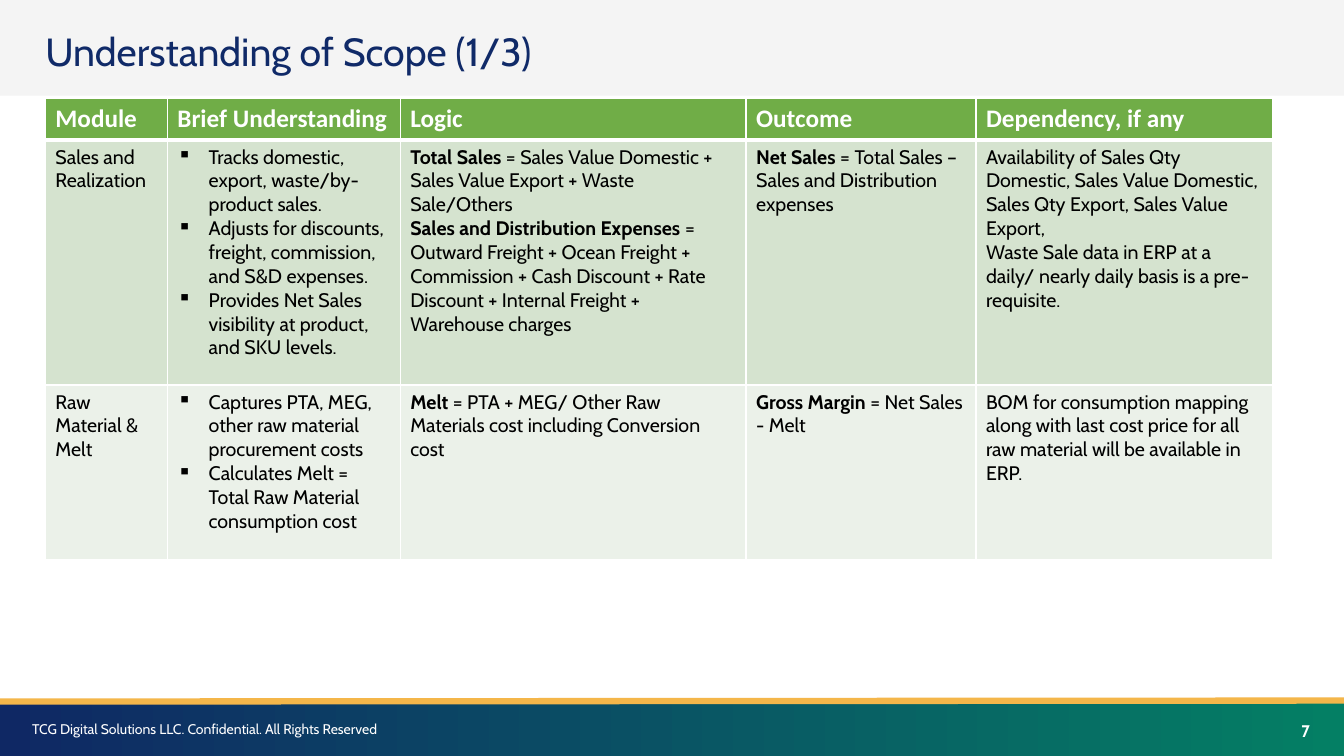
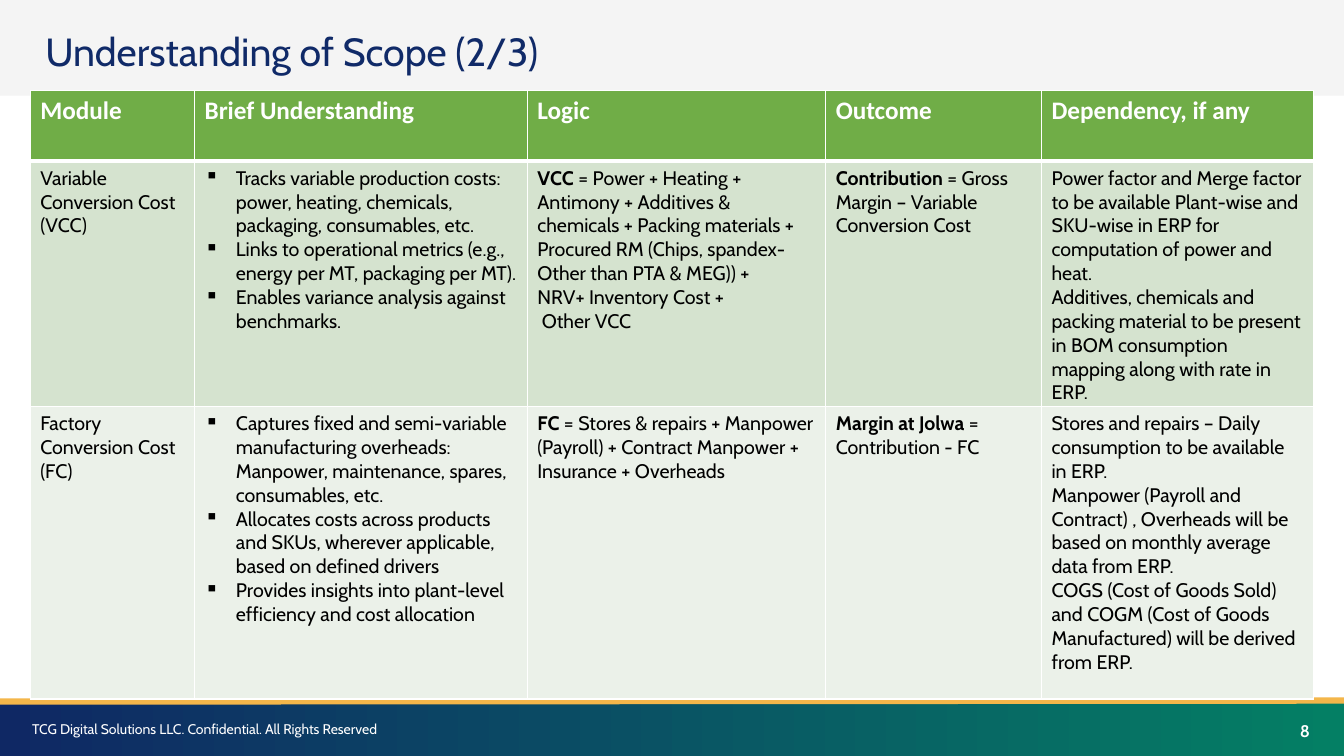
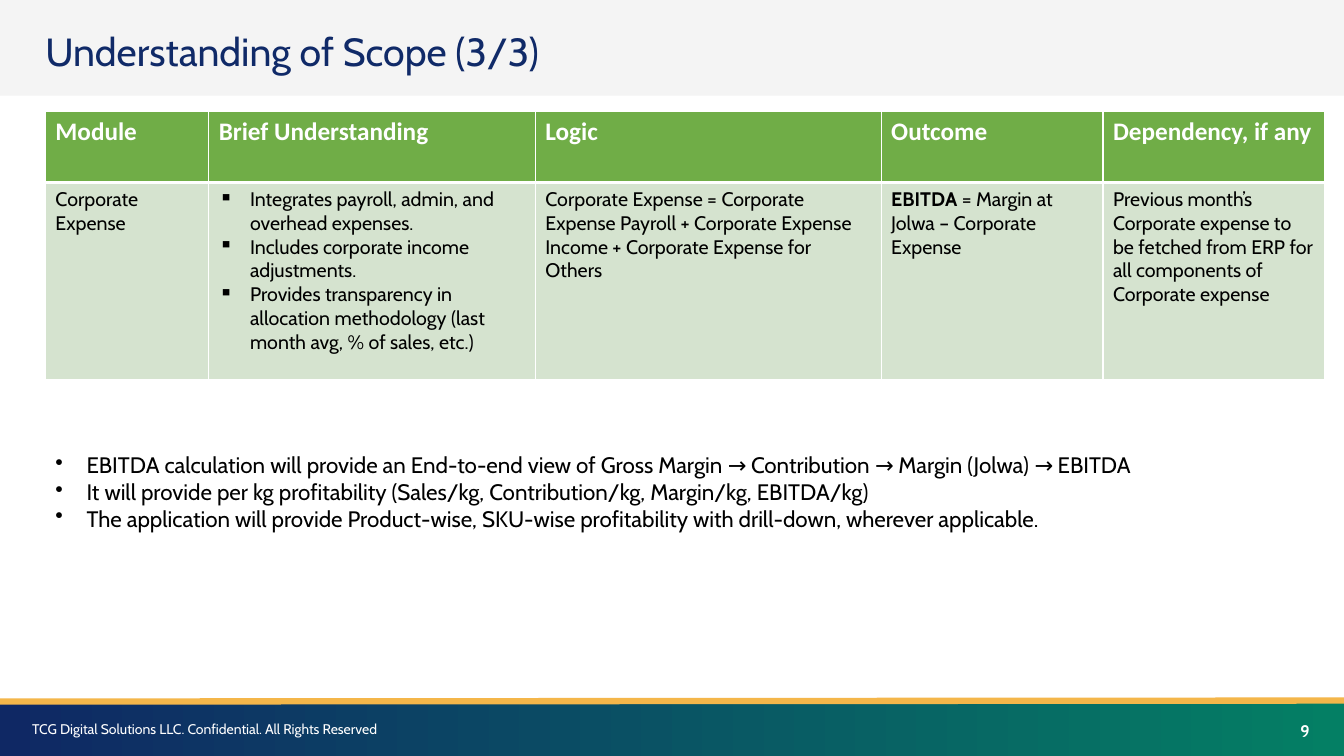
import dataclasses

import pptx
import pptx.dml.color
import pptx.enum.shapes
import pptx.enum.text
import pptx.oxml.ns
import pptx.util
from lxml import etree

Inches = pptx.util.Inches
Pt = pptx.util.Pt
RIGHT = pptx.enum.text.PP_ALIGN.RIGHT

COLORS = {
    "navy": "0F2864", "teal": "047F64", "gold": "F4B64A", "band": "F4F4F4",
    "title": "102A68", "header": "70AD47", "odd": "D5E3CF", "even": "EBF1E9",
    "black": "000000", "white": "FFFFFF",
}
BODY_FONT, HEADER_FONT = "Cabin", "Calibri"
INDENT = 0.31
FIRST_PAGE = 7
HEADINGS = ["Module", "Brief Understanding", "Logic", "Outcome", "Dependency, if any"]
BULLET_COLUMN = 1


@dataclasses.dataclass
class Box:
    left: float
    top: float
    width: float
    height: float

    def inset(self, left, top, width, height):
        """Return a box measured from this box's corner."""
        return Box(self.left + left, self.top + top, width, height)

    def lengths(self):
        return [Inches(v) for v in (self.left, self.top, self.width, self.height)]


SLIDE = Box(0, 0, 13.33, 7.5)
TITLE_BAND = Box(0, 0, SLIDE.width, 0.95)
FOOTER = Box(0, 6.95, SLIDE.width, 0.55)


def rgb(name):
    return pptx.dml.color.RGBColor.from_string(COLORS[name])


def add_xml(parent, tag, **attributes):
    return etree.SubElement(parent, pptx.oxml.ns.qn(tag), attributes)


def write_text(frame, lines, size=14, font=BODY_FONT, color="black", bold=False,
               align=None, bullet=None):
    """Write one paragraph per line; words before a bar are bold."""
    frame.word_wrap = True
    for index, line in enumerate(lines):
        para = frame.paragraphs[0] if index == 0 else frame.add_paragraph()
        para.alignment = align
        if bullet:
            properties = para._p.get_or_add_pPr()
            properties.set("marL", str(Inches(INDENT)))
            properties.set("indent", str(-Inches(INDENT)))
            add_xml(properties, "a:buChar", char=bullet)
        lead, _, rest = line.rpartition("|")
        for words, strong in ((lead, True), (rest, bold)):
            if words:
                span = para.add_run()
                span.text = words
                span.font.size = Pt(size)
                span.font.name = font
                span.font.bold = strong
                span.font.color.rgb = rgb(color)


def add_text(page, box, lines, margin=None, **style):
    frame = page.shapes.add_textbox(*box.lengths()).text_frame
    if margin is not None:
        frame.margin_left = frame.margin_right = Inches(margin)
        frame.margin_top = frame.margin_bottom = Inches(margin)
    write_text(frame, lines, **style)


def add_band(page, box):
    band = page.shapes.add_shape(pptx.enum.shapes.MSO_SHAPE.RECTANGLE, *box.lengths())
    band.shadow.inherit = False
    band.line.fill.background()
    return band


def add_title(page, box, title):
    band = add_band(page, box)
    band.fill.solid()
    band.fill.fore_color.rgb = rgb("band")
    add_text(page, box.inset(0.45, 0.27, 6.22, 0.47), [title], margin=0,
             size=28, color="title")


def add_footer(page, box, number):
    band = add_band(page, box)
    band.fill.gradient()
    band.fill.gradient_angle = 0
    for stop, name in zip(band.fill.gradient_stops, ("navy", "teal")):
        stop.color.rgb = rgb(name)
    # Gold rule along the top edge
    rule = page.shapes.add_connector(
        pptx.enum.shapes.MSO_CONNECTOR.STRAIGHT, Inches(box.left), Inches(box.top + 0.01),
        Inches(box.left + box.width), Inches(box.top))
    rule.line.color.rgb = rgb("gold")
    rule.line.width = Pt(4.5)
    add_xml(rule._element.spPr, "a:effectLst")
    # Copyright line and page number
    add_text(page, box.inset(0.22, 0.15, 4.28, 0.27),
             ["TCG Digital Solutions LLC. Confidential. All Rights Reserved"],
             size=10, color="white")
    add_text(page, box.inset(12, 0.15, 1.09, 0.4), [str(number)],
             size=12, color="white", bold=True, align=RIGHT)


def set_borders(cell, row):
    """White rules, thicker between the header and the body."""
    widths = {"L": 1, "R": 1, "T": 3 if row == 1 else 1, "B": 3 if row == 0 else 1}
    for side, width in widths.items():
        line = add_xml(cell._tc.get_or_add_tcPr(), "a:ln" + side, w=str(Pt(width)))
        add_xml(add_xml(line, "a:solidFill"), "a:srgbClr", val=COLORS["white"])


def add_scope_table(page, left, top, widths, heights, modules):
    box = Box(left, top, sum(widths), sum(heights))
    rows = [[[heading] for heading in HEADINGS]] + modules
    table = page.shapes.add_table(len(rows), len(widths), *box.lengths()).table
    for column, width in zip(table.columns, widths):
        column.width = Inches(width)
    for row, height in zip(table.rows, heights):
        row.height = Inches(height)
    for r, row in enumerate(rows):
        fill = "header" if r == 0 else "odd" if r % 2 else "even"
        for c, lines in enumerate(row):
            cell = table.cell(r, c)
            set_borders(cell, r)
            cell.fill.solid()
            cell.fill.fore_color.rgb = rgb(fill)
            if r == 0:
                write_text(cell.text_frame, lines, size=18, font=HEADER_FONT,
                           color="white", bold=True)
            else:
                write_text(cell.text_frame, lines,
                           bullet="▪" if c == BULLET_COLUMN else None)


SALES = [
    ["Sales and Realization"],
    ["Tracks domestic, export, waste/by-product sales.",
     "Adjusts for discounts, freight, commission, and S&D expenses.",
     "Provides Net Sales visibility at product, and SKU levels."],
    ["Total Sales |= Sales Value Domestic + Sales Value Export + Waste Sale/Others",
     "Sales and Distribution Expenses |= Outward Freight + Ocean Freight + Commission"
     " + Cash Discount + Rate Discount + Internal Freight + Warehouse charges"],
    ["Net Sales |= Total Sales – Sales and Distribution expenses"],
    ["Availability of Sales Qty Domestic, Sales Value Domestic, Sales Qty Export,"
     " Sales Value Export,",
     "Waste Sale data in ERP at a daily/ nearly daily basis is a pre-requisite."],
]
MELT = [
    ["Raw Material & Melt"],
    ["Captures PTA, MEG, other raw material procurement costs",
     "Calculates Melt = Total Raw Material consumption cost"],
    ["Melt| = PTA + MEG/ Other Raw Materials cost including Conversion cost"],
    ["Gross Margin |= Net Sales - Melt"],
    ["BOM for consumption mapping along with last cost price for all raw material"
     " will be available in ERP."],
]
VARIABLE_COST = [
    ["Variable Conversion Cost (VCC)"],
    ["Tracks variable production costs: power, heating, chemicals, packaging,"
     " consumables, etc.",
     "Links to operational metrics (e.g., energy per MT, packaging per MT).",
     "Enables variance analysis against benchmarks."],
    ["VCC| = Power + Heating + Antimony + Additives & chemicals + Packing materials"
     " + Procured RM (Chips, spandex- Other than PTA & MEG)) +",
     "NRV+ Inventory Cost +",
     " Other VCC"],
    ["Contribution| = Gross Margin – Variable Conversion Cost"],
    ["Power factor and Merge factor to be available Plant-wise and SKU-wise in ERP"
     " for computation of power and heat.",
     "Additives, chemicals and packing material to be present in BOM consumption"
     " mapping along with rate in ERP."],
]
FACTORY_COST = [
    ["Factory Conversion Cost (FC)"],
    ["Captures fixed and semi-variable manufacturing overheads: Manpower,"
     " maintenance, spares, consumables, etc.",
     "Allocates costs across products and SKUs, wherever applicable, based on"
     " defined drivers",
     "Provides insights into plant-level efficiency and cost allocation"],
    ["FC| = Stores & repairs + Manpower (Payroll) + Contract Manpower + Insurance"
     " + Overheads"],
    ["Margin at Jolwa |= Contribution - FC"],
    ["Stores and repairs – Daily consumption to be available in ERP.",
     "Manpower (Payroll and Contract) , Overheads will be based on monthly average"
     " data from ERP.",
     "COGS (Cost of Goods Sold) and COGM (Cost of Goods Manufactured) will be"
     " derived from ERP."],
]
CORPORATE = [
    ["Corporate Expense"],
    ["Integrates payroll, admin, and overhead expenses.",
     "Includes corporate income adjustments.",
     "Provides transparency in allocation methodology (last month avg, % of sales, etc.)"],
    ["Corporate Expense = Corporate Expense Payroll + Corporate Expense Income"
     " + Corporate Expense for Others"],
    ["EBITDA| = Margin at Jolwa – Corporate Expense"],
    ["Previous month’s Corporate expense to be fetched from ERP for all components"
     " of Corporate expense"],
]
SUMMARY = [
    "EBITDA calculation will provide an End-to-end view of Gross Margin →"
    " Contribution → Margin (Jolwa) → EBITDA",
    "It will provide per kg profitability (Sales/kg, Contribution/kg, Margin/kg, EBITDA/kg)",
    "The application will provide Product-wise, SKU-wise profitability with drill-down,"
    " wherever applicable.",
]

# Left, top, column widths, row heights and modules of each scope table
SCOPE_TABLES = [
    (0.45, 0.98, [1.21, 2.31, 3.43, 2.28, 2.94], [0.41, 2.43, 1.73], [SALES, MELT]),
    (0.3, 0.9, [1.63, 3.3, 2.96, 2.14, 2.7], [0.7, 2.43, 2.9],
     [VARIABLE_COST, FACTORY_COST]),
    (0.45, 1.11, [1.62, 3.24, 3.43, 2.2, 2.2], [0.7, 1.96], [CORPORATE]),
]


def main():
    deck = pptx.Presentation()
    deck.slide_width, deck.slide_height = SLIDE.lengths()[2:]
    for index, scope in enumerate(SCOPE_TABLES):
        page = deck.slides.add_slide(deck.slide_layouts[6])
        add_footer(page, FOOTER, FIRST_PAGE + index)
        add_title(page, TITLE_BAND,
                  f"Understanding of Scope ({index + 1}/{len(SCOPE_TABLES)})")
        add_scope_table(page, *scope)
    # Closing summary on the last slide
    add_text(page, SLIDE.inset(0.45, 4.43, 12.69, 1.88), SUMMARY, size=16, bullet="•")
    deck.save("out.pptx")


if __name__ == "__main__":
    main()
